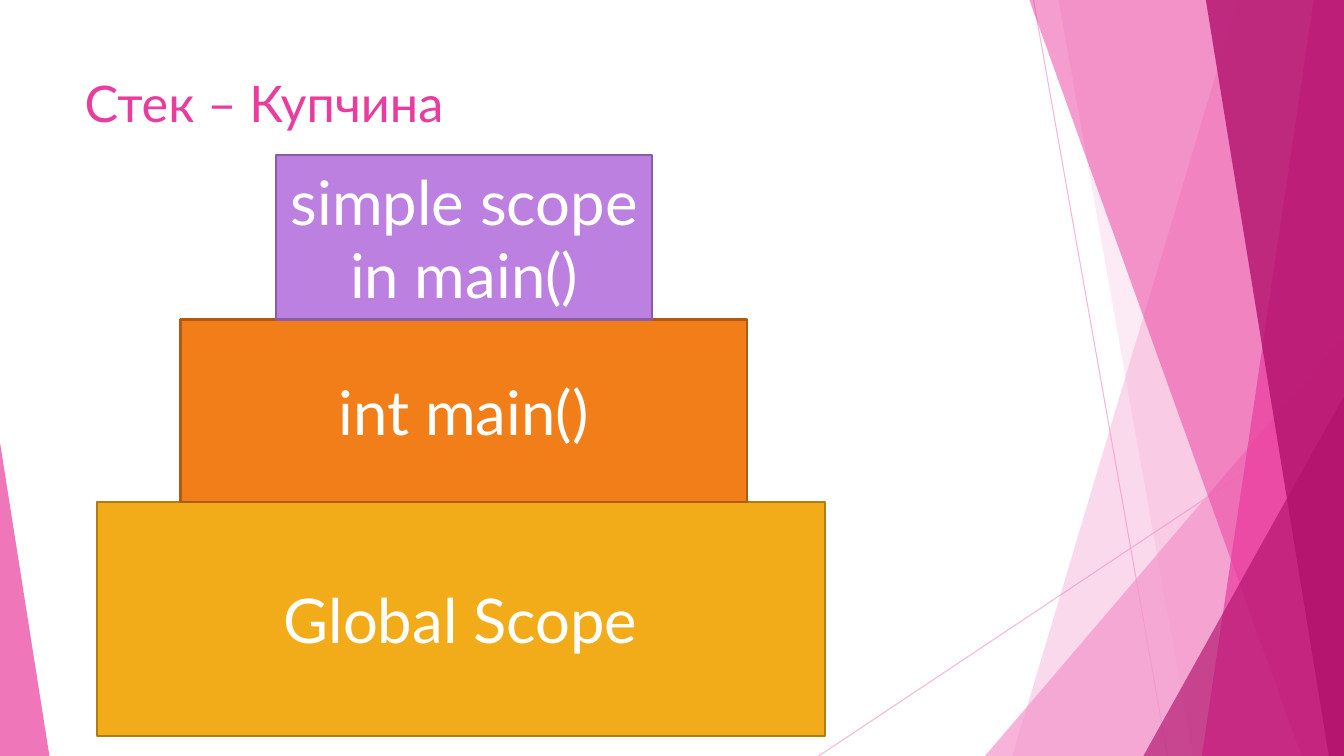
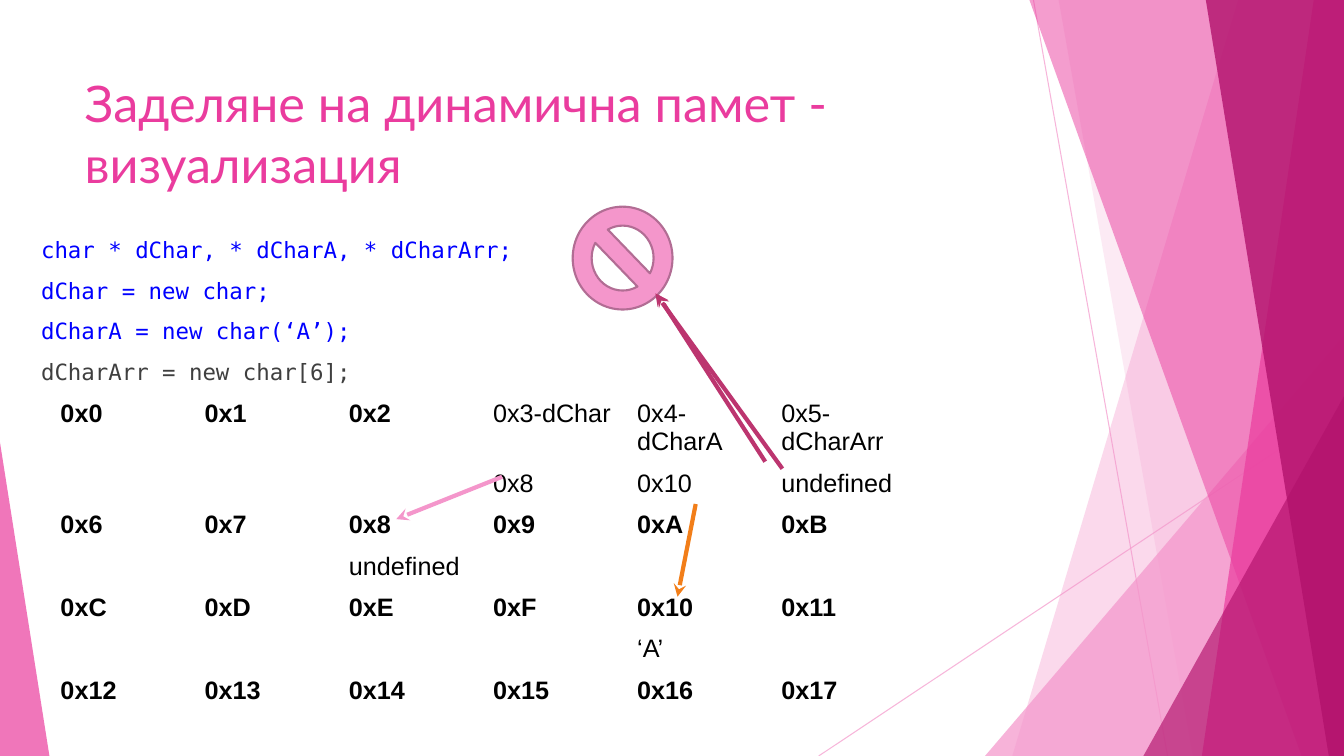
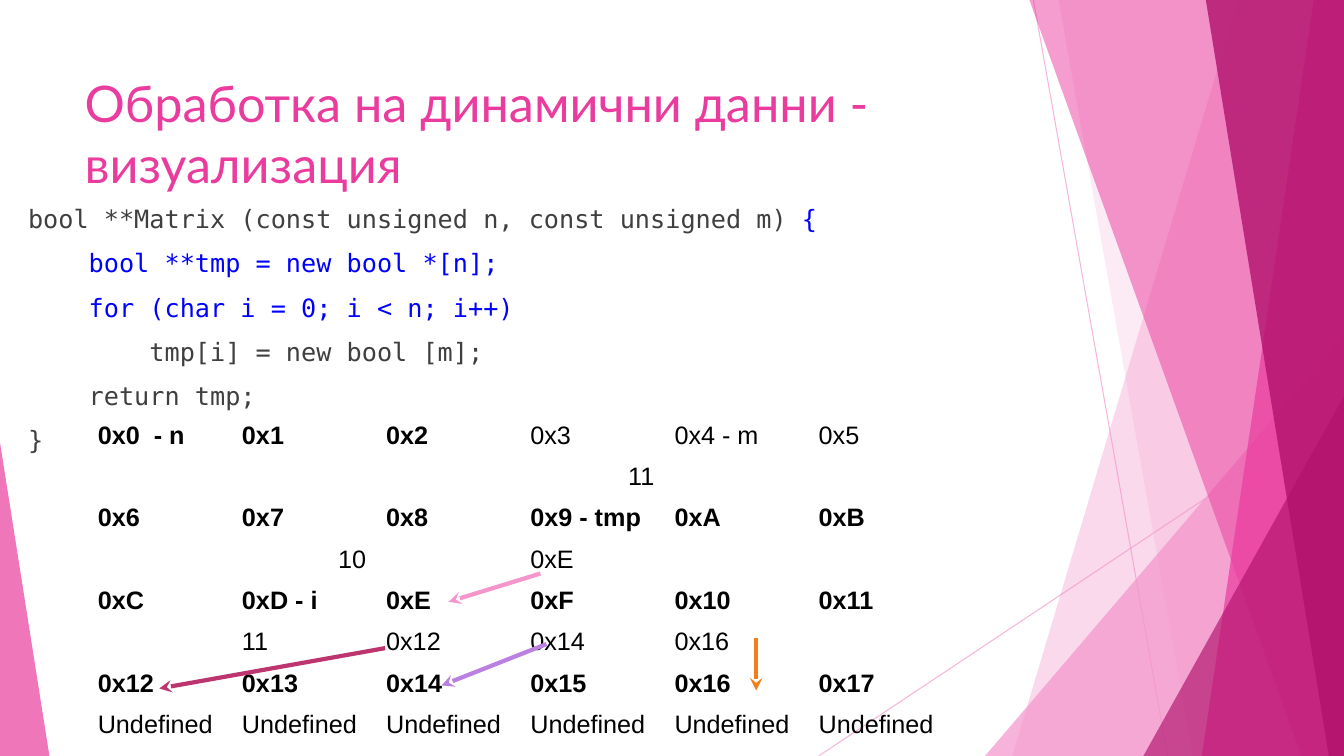
import pptx
import pptx.util
import pptx.dml.color
import pptx.enum.shapes
import pptx.enum.text
import pptx.oxml.ns
import lxml.etree

THEME = {
    "pale": "F496CB", "pink": "EA3C9E", "deep": "B2126C", "wine": "BC356F",
    "orange": "F27E19", "orange edge": "B05B12", "amber": "F2AC19", "amber edge": "B07D12",
    "violet": "BC80E0", "violet edge": "895DA3", "sign edge": "B26D94",
    "blue": "0000FF", "gray": "3F3F3F", "black": "000000", "white": "FFFFFF",
    "title size": 36, "tier size": 44, "cell size": 18,
    "title font": "Lato", "code font": "DejaVu Sans Mono", "cell font": "Arial",
}
W, H = 13.33, 7.5
TITLE_BOX = (0.74, 0.67, 9.4, 1.44)
PLAIN_TABLE = "{2D5ABB26-0587-4C30-8999-92F81FD0307C}"
COLUMNS = [1.43] * 5 + [1.59]
ROW_HEIGHT = 0.41

RAYS = [((10.25, 0), (11.58, H)), ((W, 4.03), (8.12, H))]
DECOR = [
    ("band", 12.28, 10.04, "pale", 36),
    ("band", 10.5, 11.83, "pale", 20),
    ("triangle", (9.77, 3.33, W - 9.77, H - 3.33), 1, "pale", 72),
    ("band", 10.21, 12.91, "pink", 50),
    ("band", 13.03, 11.92, "pink", 70),
    ("band", 11.96, 13.18, "deep", 80),
    ("triangle", (11.34, 3.93, W - 11.34, H - 3.93), 1, "deep", 66),
    ("triangle", (0, 4.39, 0.49, H - 4.39), 0, "pink", 70),
]

TIER_BOTTOM = 7.3
TIERS = [
    (["Global Scope"], 0.96, 7.22, 2.32, "amber"),
    (["int main()"], 1.79, 5.62, 1.81, "orange"),
    (["simple scope", "in main()"], 2.74, 3.73, 1.63, "violet"),
]

MEMORY_SLIDES = [
    {
        "title": "Заделяне на динамична памет - визуализация",
        "code": [
            [("char * dChar, * dCharA, * dCharArr;", "blue")],
            [("dChar = new char;", "blue")],
            [("dCharA = new char(‘A’);", "blue")],
            [("dCharArr = new char[6];", "gray")],
        ],
        "code box": (0.31, 2.29, 12.43, 5.2),
        "code size": 16,
        "table at": (0.5, 3.91),
        "cells": [
            ["0x0", "0x1", "0x2", "0x3-dChar", "0x4-dCharA", "0x5-dCharArr"],
            ["", "", "", "0x8", "0x10", "undefined"],
            ["0x6", "0x7", "0x8", "0x9", "0xA", "0xB"],
            ["", "", "undefined", "", "", ""],
            ["0xC", "0xD", "0xE", "0xF", "0x10", "0x11"],
            ["", "", "", "", "‘A’", ""],
            ["0x12", "0x13", "0x14", "0x15", "0x16", "0x17"],
            [""] * 6,
        ],
        "sign": (5.68, 2.05, 0.99, 1.02),
        "arrows": [
            ((4.98, 4.73), (3.93, 5.15), "pale"),
            ((6.9, 5), (6.72, 5.92), "orange"),
            ((7.59, 4.58), (6.52, 2.92), "wine"),
            ((7.76, 4.65), (6.5, 2.91), "wine"),
        ],
    },
    {
        "title": "Обработка на динамични данни - визуализация",
        "code": [
            [("bool **Matrix (const unsigned n, const unsigned m) ", "gray"), ("{", "blue")],
            [("    bool **tmp = new bool *[n];", "blue")],
            [("    for (char i = 0; i < n; i++)", "blue")],
            [("        tmp[i] = new bool [m];", "gray")],
            [("    return tmp;", "gray")],
            [("}", "gray")],
        ],
        "code box": (0.18, 1.97, 11.5, 4.76),
        "code size": 18,
        "table at": (0.87, 4.13),
        "cells": [
            ["0x0  - n", "0x1", "0x2", "0x3", "0x4 - m", "0x5"],
            [("11", 4), ("", 2)],
            ["0x6", "0x7", "0x8", "0x9 - tmp", "0xA", "0xB"],
            [("10", 2), "", "0xЕ", "", ""],
            ["0xC", "0xD - i", "0xE", "0xF", "0x10", "0x11"],
            ["", "11", "0x12", "0x14", "0x16", ""],
            ["0x12", "0x13", "0x14", "0x15", "0x16", "0x17"],
            ["Undefined"] * 6,
        ],
        "sign": None,
        "arrows": [
            ((5.36, 5.69), (4.45, 5.97), "pale"),
            ((3.82, 6.43), (1.58, 6.83), "wine"),
            ((5.42, 6.39), (4.38, 6.8), "violet"),
            ((7.5, 6.33), (7.5, 6.85), "orange"),
        ],
    },
]

ALIGN = pptx.enum.text.PP_ALIGN
ANCHOR = pptx.enum.text.MSO_ANCHOR
SHAPE = pptx.enum.shapes.MSO_SHAPE
qn = pptx.oxml.ns.qn


def inches(values):
    return [pptx.util.Inches(v) for v in values]


def rgb(name):
    return pptx.dml.color.RGBColor.from_string(THEME[name])


def put_text(tf, lines, size, font, color="black", bold=False, align=ALIGN.LEFT,
             anchor=ANCHOR.TOP, before=0):
    tf.word_wrap = True
    tf.vertical_anchor = anchor
    for i, line in enumerate(lines):
        p = tf.add_paragraph() if i else tf.paragraphs[0]
        p.alignment = align
        if i and before:
            p.space_before = pptx.util.Pt(before)
        for text, run_color in [(line, color)] if isinstance(line, str) else line:
            r = p.add_run()
            r.text = text
            r.font.size = pptx.util.Pt(size)
            r.font.name = THEME[font]
            r.font.bold = bold
            r.font.color.rgb = rgb(run_color)


def paint(sp, fill, edge=None):
    sp.shadow.inherit = False
    sp.fill.solid()
    sp.fill.fore_color.rgb = rgb(fill)
    if edge:
        sp.line.color.rgb = rgb(edge)
        sp.line.width = pptx.util.Pt(1.5)
    else:
        sp.line.fill.background()


def fade(sp, percent):
    for color in sp.element.spPr.iter(qn("a:srgbClr")):
        lxml.etree.SubElement(color, qn("a:alpha")).set("val", str(percent * 1000))


def add_line(shapes, start, end, color, width, arrow=False):
    line = shapes.add_connector(pptx.enum.shapes.MSO_CONNECTOR.STRAIGHT, *inches(start + end))
    line.line.color.rgb = rgb(color)
    line.line.width = pptx.util.Pt(width)
    if arrow:
        ln = line.element.spPr.find(qn("a:ln"))
        lxml.etree.SubElement(ln, qn("a:tailEnd")).set("type", "stealth")
    lxml.etree.SubElement(line.element.spPr, qn("a:effectLst"))
    return line


def add_decor(slide, layout):
    group = slide.shapes.add_group_shape()
    for start, end in RAYS:
        fade(add_line(group.shapes, start, end, "pale", 0.75), 70)
    for kind, first, second, color, alpha in DECOR:
        if kind == "band":
            builder = group.shapes.build_freeform(*inches((first, 0)), scale=1.0)
            corners = [(W, 0), (W, H), (second, H)]
            builder.add_line_segments([inches(c) for c in corners], close=True)
            sp = builder.convert_to_shape()
        else:
            sp = group.shapes.add_shape(SHAPE.ISOSCELES_TRIANGLE, *inches(first))
            sp.adjustments[0] = second
        paint(sp, color)
        fade(sp, alpha)
    for i, props in enumerate(group.element.iter(qn("p:cNvPr")), 100):
        props.set("id", str(i))
    layout.element.cSld.spTree.insert(2, group.element)


def add_slide(prs, layout, title):
    s = prs.slides.add_slide(layout)
    tf = s.shapes.title.text_frame
    tf.auto_size = pptx.enum.text.MSO_AUTO_SIZE.NONE
    put_text(tf, [title], THEME["title size"], "title font", "pink")
    return s


def add_tiers(s):
    bottom = TIER_BOTTOM
    for lines, left, width, height, color in TIERS:
        bottom -= height
        sp = s.shapes.add_shape(SHAPE.RECTANGLE, *inches((left, bottom, width, height)))
        paint(sp, color, color + " edge")
        put_text(sp.text_frame, lines, THEME["tier size"], "title font", "white",
                 align=ALIGN.CENTER, anchor=ANCHOR.MIDDLE)


def add_memory_table(s, at, rows):
    size = (sum(COLUMNS), ROW_HEIGHT * len(rows))
    frame = s.shapes.add_table(len(rows), len(COLUMNS), *inches(at + size))
    table = frame.table
    table.first_row = table.horz_banding = False
    next(frame.element.iter(qn("a:tableStyleId"))).text = PLAIN_TABLE
    for column, width in zip(table.columns, COLUMNS):
        column.width = pptx.util.Inches(width)
    for cell in table.iter_cells():
        cell.fill.background()
    for r, row in enumerate(rows):
        table.rows[r].height = pptx.util.Inches(ROW_HEIGHT)
        c = 0
        for item in row:
            text, span = (item, 1) if isinstance(item, str) else item
            cell = table.cell(r, c)
            if span > 1:
                cell.merge(table.cell(r, c + span - 1))
            if text:
                put_text(cell.text_frame, [text], THEME["cell size"], "cell font",
                         bold=r % 2 == 0 and (r > 0 or c < 3),
                         align=ALIGN.RIGHT if span > 1 else ALIGN.LEFT)
            c += span


def add_memory_slide(prs, layout, content):
    s = add_slide(prs, layout, content["title"])
    box = s.shapes.add_textbox(*inches(content["code box"]))
    put_text(box.text_frame, content["code"], content["code size"], "code font", before=10)
    add_memory_table(s, content["table at"], content["cells"])
    if content["sign"]:
        sign = s.shapes.add_shape(SHAPE.NO_SYMBOL, *inches(content["sign"]))
        sign.adjustments[0] = 0.19
        sign.rotation = 180
        paint(sign, "pale", "sign edge")
    for start, end, color in content["arrows"]:
        add_line(s.shapes, start, end, color, 3, arrow=True)


def main():
    prs = pptx.Presentation()
    prs.slide_width, prs.slide_height = inches((W, H))
    layout = prs.slide_layouts.get_by_name("Title Only")
    title = layout.placeholders[0]
    title.left, title.top, title.width, title.height = inches(TITLE_BOX)
    s = add_slide(prs, layout, "Стек – Купчина")
    add_decor(s, layout)
    add_tiers(s)
    for content in MEMORY_SLIDES:
        add_memory_slide(prs, layout, content)
    prs.save("out.pptx")


if __name__ == "__main__":
    main()
